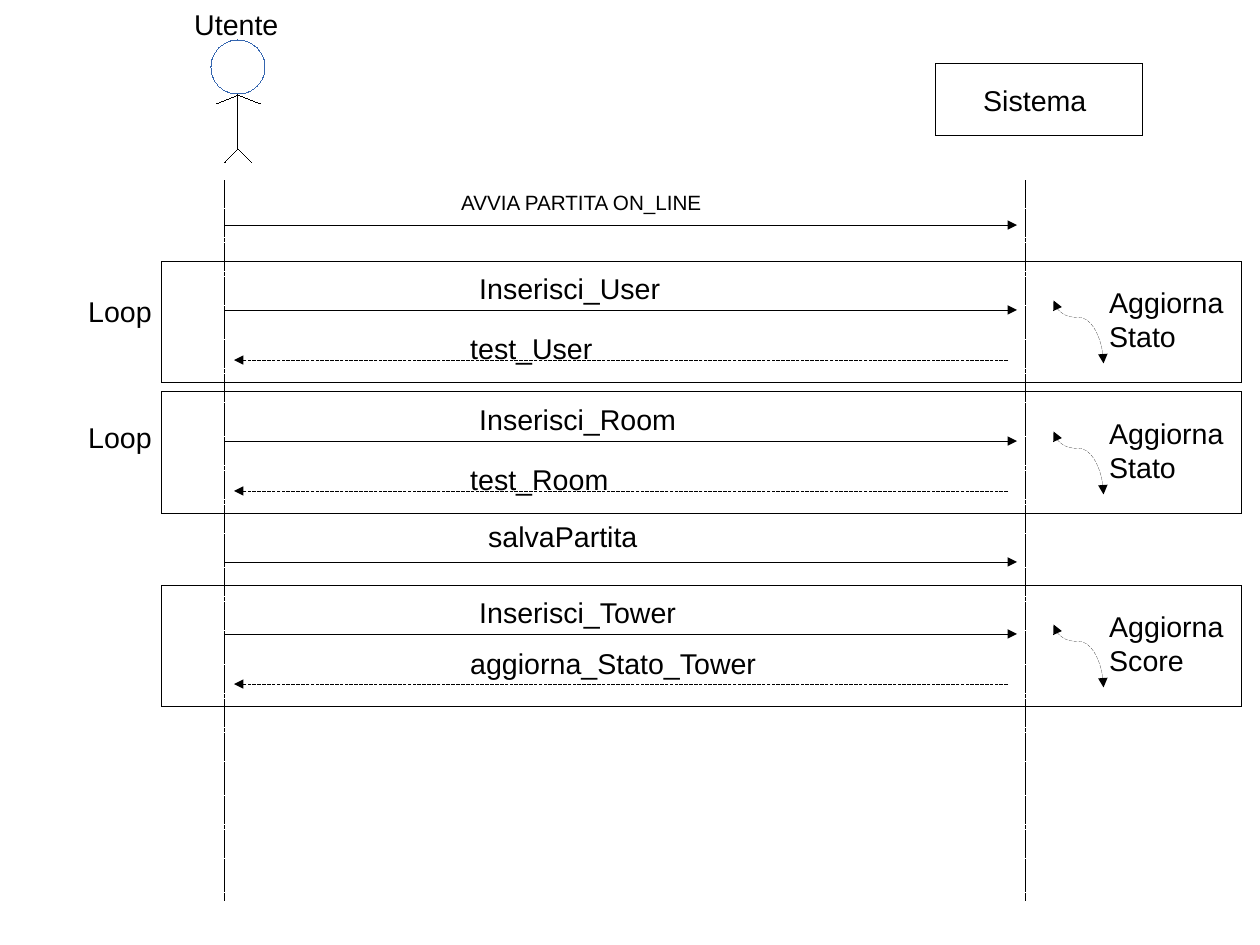
"""Sequence diagram of an online match between the user and the system."""
from lxml.etree import SubElement
from pptx import Presentation
from pptx.dml.color import RGBColor
from pptx.enum.dml import MSO_LINE
from pptx.enum.shapes import MSO_CONNECTOR, MSO_SHAPE
from pptx.oxml.ns import qn
from pptx.util import Emu, Pt

PX = 8000
HAIRLINE = Emu(1)
COLORS = {"ink": "000000", "paper": "FFFFFF", "head": "3465AF"}
USER_X, SYSTEM_X = 225, 1026
FRAME_LEFT, FRAME_RIGHT, FRAME_HEIGHT = 162, 1242, 122

deck = Presentation()
deck.slide_width, deck.slide_height = Emu(1260 * PX), Emu(945 * PX)
slide = deck.slides.add_slide(deck.slide_layouts[6])
shapes = slide.shapes


def add_line(x1, y1, x2, y2, dashed=False, arrows=(), kind=MSO_CONNECTOR.STRAIGHT):
    stroke = shapes.add_connector(kind, *(Emu(v * PX) for v in (x1, y1, x2, y2)))
    stroke.line.color.rgb = RGBColor.from_string(COLORS["ink"])
    stroke.line.width = HAIRLINE
    if dashed:
        stroke.line.dash_style = MSO_LINE.SQUARE_DOT
    properties = stroke._element.spPr
    for arrow in arrows:
        SubElement(properties.find(qn("a:ln")), qn(f"a:{arrow}"), type="triangle")
    SubElement(properties, qn("a:effectLst"))
    return stroke


def add_label(text, left, top, width, height=43, size=18):
    label = shapes.add_textbox(*(Emu(v * PX) for v in (left, top, width, height)))
    label.text_frame.word_wrap = True
    label.text_frame.text = text
    for paragraph in label.text_frame.paragraphs:
        for run in paragraph.runs:
            run.font.name, run.font.size = "Arial", Pt(size)
            run.font.color.rgb = RGBColor.from_string(COLORS["ink"])


for lifeline_x in (USER_X, SYSTEM_X):
    add_line(lifeline_x, 180, lifeline_x, 900, dashed=True)

add_label("Utente", 183, 1, 124)
head = shapes.add_shape(MSO_SHAPE.OVAL, *(Emu(v * PX) for v in (211, 40, 54, 54)))
head.shadow.inherit = False
head.fill.solid()
head.fill.fore_color.rgb = RGBColor.from_string(COLORS["paper"])
head.line.color.rgb = RGBColor.from_string(COLORS["head"])
head.line.width = HAIRLINE
add_line(238, 95, 238, 149)
for arm_x, leg_x in ((216, 225), (261, 252)):
    add_line(238, 95, arm_x, 104)
    add_line(238, 149, leg_x, 162)

add_label("Sistema", 972, 77, 225)
frames = [(936, 63, 1143, 135)]
frames += [(FRAME_LEFT, top, FRAME_RIGHT, top + FRAME_HEIGHT) for top in (261, 392, 585)]
for left, top, right, bottom in frames:
    for edge_y in (top, bottom):
        add_line(left, edge_y, right, edge_y)
    for edge_x in (left, right):
        add_line(edge_x, top, edge_x, bottom)

add_label("AVVIA PARTITA ON_LINE", 450, 184, 395, 34, 13)
add_label("salvaPartita", 477, 513, 378)
for message_y in (225, 562):
    add_line(USER_X, message_y, 1017, message_y, arrows=["tailEnd"])

exchanges = [
    (261, "Inserisci_User", "test_User", 64, "Aggiorna\nStato"),
    (392, "Inserisci_Room", "test_Room", 64, "Aggiorna\nStato"),
    (585, "Inserisci_Tower", "aggiorna_Stato_Tower", 55, "Aggiorna\nScore"),
]
for top, request, reply, reply_offset, update in exchanges:
    add_label(request, 468, top + 4, 360)
    add_line(USER_X, top + 49, 1017, top + 49, arrows=["tailEnd"])
    add_label(reply, 459, top + reply_offset, 351)
    add_line(1008, top + 99, 234, top + 99, dashed=True, arrows=["tailEnd"])
    add_label(update, 1098, top + 18, 144, 75)
    self_call = add_line(1110, top + 46, 1047, top + 96, dashed=True,
                         arrows=["headEnd", "tailEnd"], kind=MSO_CONNECTOR.CURVE)
    geometry = self_call._element.spPr
    geometry.find(qn("a:xfrm")).set("rot", "16200000")
    adjustments = geometry.find(qn("a:prstGeom")).find(qn("a:avLst"))
    SubElement(adjustments, qn("a:gd"), name="adj1", fmla="val 26900")

for loop_y in (288, 414):
    add_label("Loop", 77, loop_y, 107)

deck.save("out.pptx")
